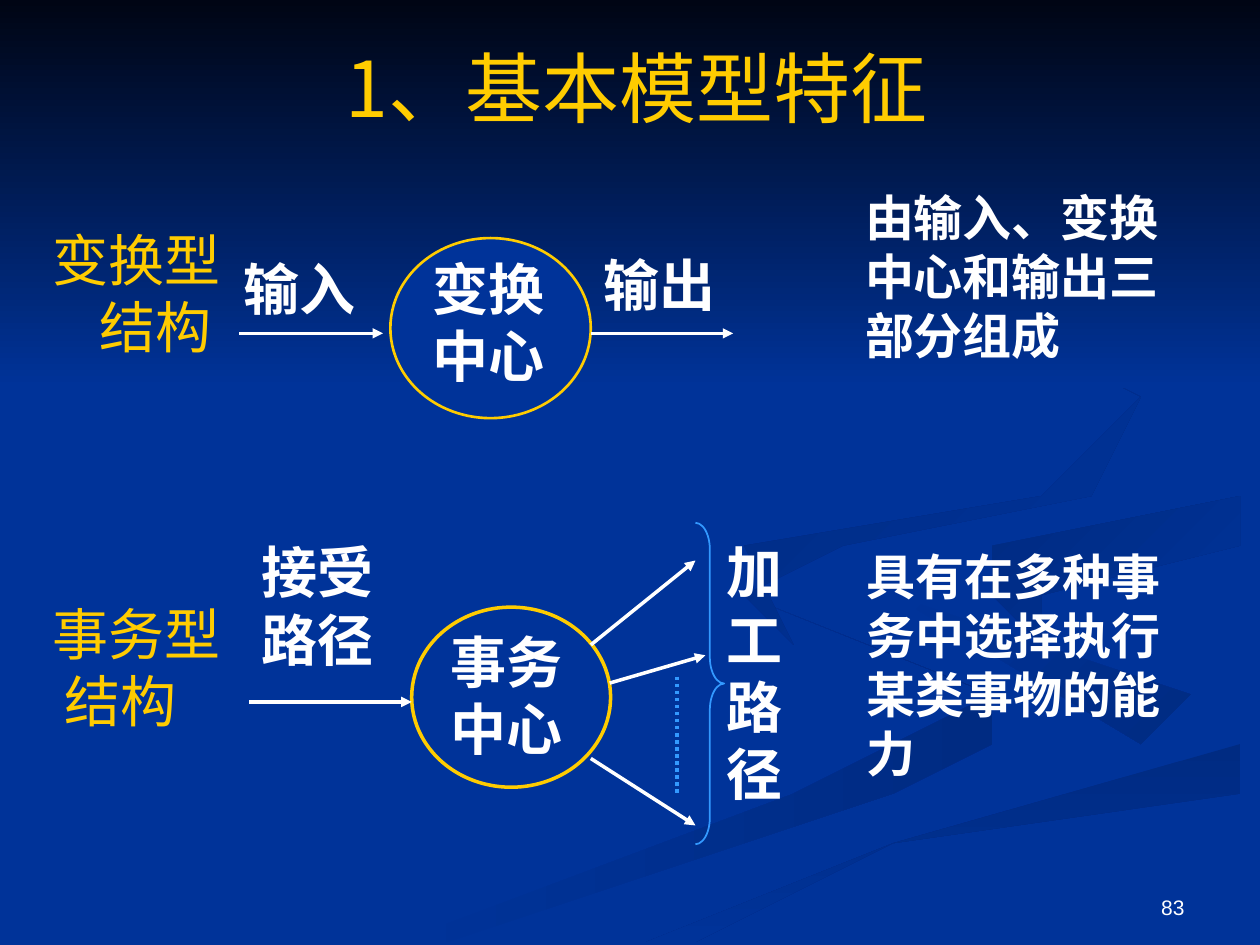
from pptx import Presentation
from pptx import util as u
from pptx.dml.color import RGBColor
from pptx.enum import dml, shapes, text
from pptx.oxml.ns import qn
from lxml import etree

BLUE = RGBColor(0x00, 0x33, 0x99)
DUSK = RGBColor(0x00, 0x2B, 0x82)
NIGHT = RGBColor(0x00, 0x05, 0x14)
GOLD = RGBColor(0xFF, 0xCC, 0x00)
SKY = RGBColor(0x33, 0x99, 0xFF)
WHITE = RGBColor(0xFF, 0xFF, 0xFF)
FONT = "Noto Sans CJK SC"

# Ribbons: first colour, last colour, angle, outline in centimetres
RIBBONS = [
    (BLUE, DUSK, 0, [(19.8, 14), (14.6, 11.7), (20, 14.4), (15.6, 16),
                     (7.6, 19), (9.2, 19), (18.3, 15.8), (20.3, 14.8)]),
    (BLUE, DUSK, 45, [(24, 14.5), (18.4, 11.8), (23.3, 14.8), (22.7, 15.4)]),
    (DUSK, BLUE, 90, [(12.8, 19), (14.5, 19), (18.3, 17.3), (25.3, 15.5),
                      (25.3, 14.8), (17.7, 17)]),
    (DUSK, BLUE, 45, [(19.8, 11.7), (21, 12.6), (20.6, 11.7), (25.3, 10.7),
                      (25.3, 10.2), (20.3, 11.2)]),
    (DUSK, BLUE, 45, [(17.3, 10.9), (22, 9.8), (22.7, 8.5), (19.4, 5.9),
                      (22.6, 8.5), (20.8, 9.8), (14.9, 11.3), (15.8, 12.7),
                      (15.3, 11.6)]),
]


def spot(box, x, y, w, h):
    return u.Cm(box[0] + x), u.Cm(box[1] + y), u.Cm(w), u.Cm(h)


def write(frame, words, size=32, color=WHITE, bold=True, font=FONT,
          align=None, anchor=text.MSO_ANCHOR.TOP, wrap=True):
    frame.word_wrap = wrap
    frame.vertical_anchor = anchor
    frame.text = words
    for para in frame.paragraphs:
        para.alignment = align
        para.space_before = u.Pt(0)
        for run in para.runs:
            run.font.size, run.font.bold = u.Pt(size), bold
            run.font.name, run.font.color.rgb = font, color
            etree.SubElement(run.font._element, qn("a:ea")).set("typeface", font)
    return frame


def label(slide, place, words, **style):
    return write(slide.shapes.add_textbox(*place).text_frame, words, **style)


def indent(para, left, first=0):
    props = para._p.get_or_add_pPr()
    props.set("marL", str(u.Cm(left)))
    props.set("indent", str(u.Cm(first)))


def shade(shape, first, last, angle):
    shape.shadow.inherit = False
    shape.line.fill.background()
    shape.fill.gradient()
    shape.fill.gradient_angle = -angle % 360
    for stop, color in zip(shape.fill.gradient_stops, (first, last)):
        stop.color.rgb = color


def line(slide, box, x1, y1, x2, y2, color=WHITE, width=2, arrow=True):
    ends = [u.Cm(box[i % 2] + v) for i, v in enumerate((x1, y1, x2, y2))]
    link = slide.shapes.add_connector(shapes.MSO_CONNECTOR.STRAIGHT, *ends)
    link.line.color.rgb, link.line.width = color, u.Pt(width)
    if arrow:
        tail = etree.SubElement(link.line._get_or_add_ln(), qn("a:tailEnd"))
        tail.set("type", "triangle")
    etree.SubElement(link._element.spPr, qn("a:effectLst"))
    return link


def ring(slide, place, width):
    oval = slide.shapes.add_shape(shapes.MSO_SHAPE.OVAL, *place)
    oval.shadow.inherit = False
    oval.fill.solid()
    oval.fill.fore_color.rgb = BLUE
    oval.line.color.rgb, oval.line.width = GOLD, u.Pt(width)


def backdrop(slide, box):
    slide.background.fill.solid()
    slide.background.fill.fore_color.rgb = BLUE
    for first, last, angle, pts in RIBBONS:
        pen = slide.shapes.build_freeform(*pts[0], scale=u.Cm(1))
        pen.add_line_segments(pts[1:], close=True)
        shade(pen.convert_to_shape(*spot(box, 0, 0, 0, 0)[:2]), first, last, angle)
    band = slide.shapes.add_shape(shapes.MSO_SHAPE.RECTANGLE,
                                  *spot(box, 0, 0, 25.4, 7.82))
    shade(band, NIGHT, BLUE, 90)


def heading(slide, box):
    title = slide.shapes.title
    title.left, title.top, title.width, title.height = spot(box, 0, 0, 21.08, 2.08)
    write(title.text_frame, "1、基本模型特征", size=44, color=GOLD, bold=False,
          align=text.PP_ALIGN.CENTER, anchor=text.MSO_ANCHOR.MIDDLE)
    slide.shapes._spTree.append(title._element)  # bring above the backdrop


def transform(slide, box):
    # Centre with its input and output
    ring(slide, spot(box, 7.06, 1.14, 4.04, 3.63), 1.5)
    label(slide, spot(box, 7.65, 1.35, 2.77, 2.95), "变换\n中心", wrap=False)
    label(slide, spot(box, 3.84, 1.35, 3.28, 1.6), "输入")
    label(slide, spot(box, 11.1, 1.27, 2.9, 1.6), "输出")
    for start, end in ((4.01, 6.91), (11.1, 13.97)):
        line(slide, box, start, 3.06, end, 3.06, width=1.5)
    # Name and description
    name = label(slide, spot(box, 0, 0.76, 4.45, 3.43), "变换型结构",
                 color=GOLD, bold=False)
    indent(name.paragraphs[0], 0.95, -0.95)
    label(slide, spot(box, 16.38, 0, 7.14, 3.81),
          "由输入、变换中心和输出三部分组成", size=28)


def dispatch(slide, box):
    # Centre with its incoming path
    ring(slide, spot(box, 7.49, 1.7, 4.01, 3.63), 2)
    label(slide, spot(box, 8.03, 1.98, 3.71, 2.95), "事务\n中心")
    label(slide, spot(box, 4.22, 0.18, 2.77, 2.95), "接受\n路径", wrap=False)
    line(slide, box, 4.22, 3.61, 7.49, 3.61)
    # Fan of processing paths
    for ends in ((11.1, 4.75, 13.21, 6.1), (11.48, 3.23, 13.41, 2.67),
                 (11.1, 2.46, 13.21, 0.76)):
        line(slide, box, *ends)
    dots = line(slide, box, 12.84, 3.1, 12.84, 5.51, color=SKY, arrow=False)
    dots.line.dash_style = dml.MSO_LINE.ROUND_DOT
    brace = slide.shapes.add_shape(shapes.MSO_SHAPE.RIGHT_BRACE,
                                   *spot(box, 13.21, 0, 0.58, 6.48))
    brace.adjustments[0] = 0.92
    brace.shadow.inherit = False
    brace.fill.background()
    brace.line.color.rgb, brace.line.width = SKY, u.Pt(1)
    label(slide, spot(box, 13.59, 0.18, 1.63, 5.66), "加\n工\n路\n径", wrap=False)
    # Name and description
    name = label(slide, spot(box, 0, 1.42, 3.89, 2.97), "事务型\n结构",
                 color=GOLD, bold=False, wrap=False)
    indent(name.paragraphs[1], 0.25)
    label(slide, spot(box, 16.41, 0.36, 6.55, 5), "具有在多种事务中选择执行某类事物的能力",
          size=28)


def footer(slide, box):
    label(slide, spot(box, 0, 0, 5.92, 1.32), "83", size=12, bold=False,
          font="Arial", align=text.PP_ALIGN.RIGHT, anchor=text.MSO_ANCHOR.BOTTOM)


def main():
    deck = Presentation()
    deck.slide_width, deck.slide_height = u.Cm(25.4), u.Cm(19.05)
    slide = deck.slides.add_slide(deck.slide_layouts[5])
    backdrop(slide, (0, 0))
    heading(slide, (2.29, 0.71))
    transform(slide, (0.81, 3.66))
    dispatch(slide, (0.81, 10.54))
    footer(slide, (18.21, 17.35))
    deck.save("out.pptx")


if __name__ == "__main__":
    main()
